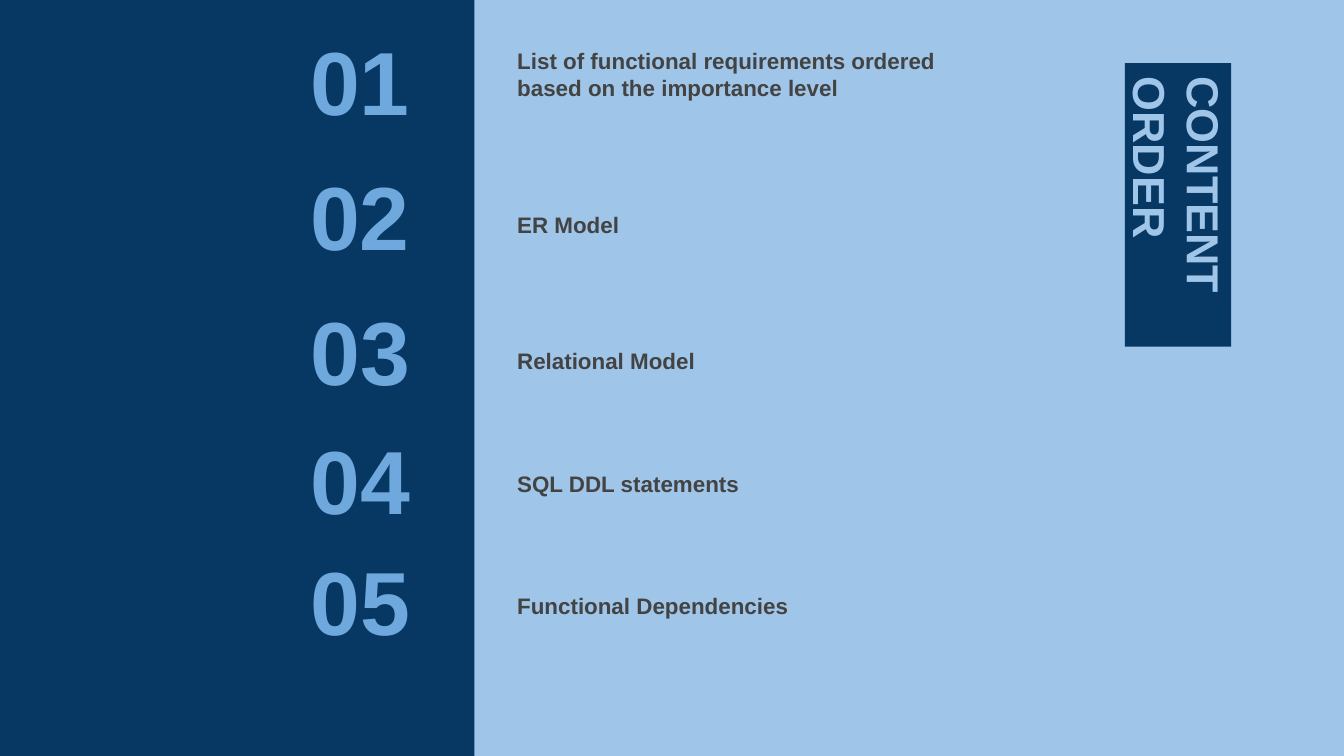
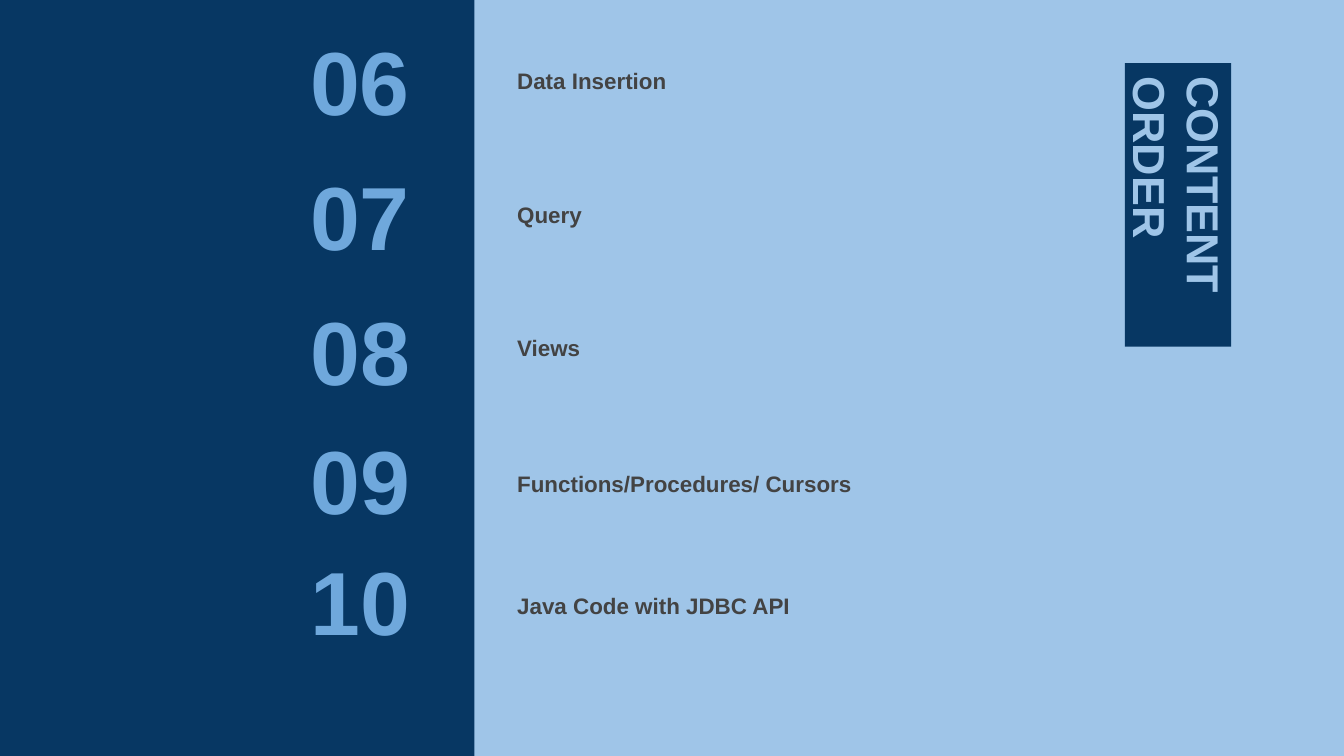
from pptx import Presentation
from pptx.dml.color import RGBColor
from pptx.enum.shapes import MSO_SHAPE
from pptx.enum.text import MSO_ANCHOR, MSO_AUTO_SIZE, PP_ALIGN
from pptx.util import Inches, Pt

RECTANGLE = MSO_SHAPE.RECTANGLE
MIDDLE, BOTTOM = MSO_ANCHOR.MIDDLE, MSO_ANCHOR.BOTTOM
LEFT = PP_ALIGN.LEFT
NO_AUTOFIT = MSO_AUTO_SIZE.NONE

# Shared look, on a 16:9 slide
WIDTH = 10
HEIGHT = WIDTH * 9 / 16
FONT = "Arial"
NAVY, SKY, BLUE, GREY = "073763", "9FC5E8", "6FA8DC", "434343"
TITLE_ONLY = 5
INSET = 0.1

# Boxes: left, top, width, height
BAND_BOX = (0, 0, 3.53, HEIGHT)
TITLE_BOX = (7.71, 1.13, 2.11, 0.79)
NUMBER_LEFT, CAPTION_LEFT = 2.21, 3.75
# Top, width, height of each number
NUMBER_ROWS = [(0.28, 1.9, 0.63), (1.34, 1.77, 0.51), (2.23, 1.72, 0.75),
               (3.25, 1.72, 0.63), (4.15, 1.72, 0.63)]

# First number, then caption, top, width, height of each entry
AGENDAS = [
    (1, [
        ("List of functional requirements ordered based on the importance level",
         0.22, 3.35, 0.63),
        ("ER Model", 1.28, 2.46, 0.59),
        ("Relational Model", 2.25, 2.46, 0.63),
        ("SQL DDL statements", 3.17, 2.46, 0.63),
        ("Functional Dependencies", 4.08, 2.46, 0.63),
    ]),
    (6, [
        ("Data Insertion", 0.42, 2.46, 0.38),
        ("Query", 1.34, 2.46, 0.46),
        ("Views", 2.25, 2.46, 0.54),
        ("Functions/Procedures/ Cursors", 3.17, 3.07, 0.63),
        ("Java Code with JDBC API", 4.08, 2.46, 0.63),
    ]),
]


def paint(fill, color):
    fill.solid()
    fill.fore_color.rgb = RGBColor.from_string(color)


def write(shape, text, size, color, anchor):
    frame = shape.text_frame
    frame.text = text
    frame.word_wrap = True
    frame.auto_size = NO_AUTOFIT
    frame.vertical_anchor = anchor
    frame.margin_left = frame.margin_right = Inches(INSET)
    frame.margin_top = frame.margin_bottom = Inches(INSET)
    paragraph = frame.paragraphs[0]
    paragraph.alignment = LEFT
    font = paragraph.font
    font.name, font.size, font.bold = FONT, Pt(size), True
    font.color.rgb = RGBColor.from_string(color)


def add_label(slide, box, text, size, color, anchor):
    shape = slide.shapes.add_textbox(*map(Inches, box))
    write(shape, text, size, color, anchor)


def place_title(slide, box):
    """Title plate, turned to read downwards."""
    title = slide.shapes.title
    title.left, title.top, title.width, title.height = map(Inches, box)
    title.rotation = 90
    paint(title.fill, NAVY)
    write(title, "CONTENT ORDER", 24, SKY, MIDDLE)


def add_band(slide, box):
    band = slide.shapes.add_shape(RECTANGLE, *map(Inches, box))
    band.shadow.inherit = False
    paint(band.fill, NAVY)
    band.line.fill.background()


def add_agenda(slide, first_number, entries):
    """Numbers on the band, captions beside it."""
    rows = zip(NUMBER_ROWS, entries)
    for number, (number_row, (caption, *caption_row)) in enumerate(rows, first_number):
        add_label(slide, (CAPTION_LEFT, *caption_row), caption, 12, GREY, BOTTOM)
        add_label(slide, (NUMBER_LEFT, *number_row), f"{number:02}", 48, BLUE, MIDDLE)


def add_content_slide(presentation, first_number, entries):
    slide = presentation.slides.add_slide(presentation.slide_layouts[TITLE_ONLY])
    place_title(slide, TITLE_BOX)
    add_band(slide, BAND_BOX)
    add_agenda(slide, first_number, entries)


def main():
    presentation = Presentation()
    presentation.slide_width = Inches(WIDTH)
    presentation.slide_height = Inches(HEIGHT)
    paint(presentation.slide_master.background.fill, SKY)
    for first_number, entries in AGENDAS:
        add_content_slide(presentation, first_number, entries)
    presentation.save("out.pptx")


if __name__ == "__main__":
    main()
